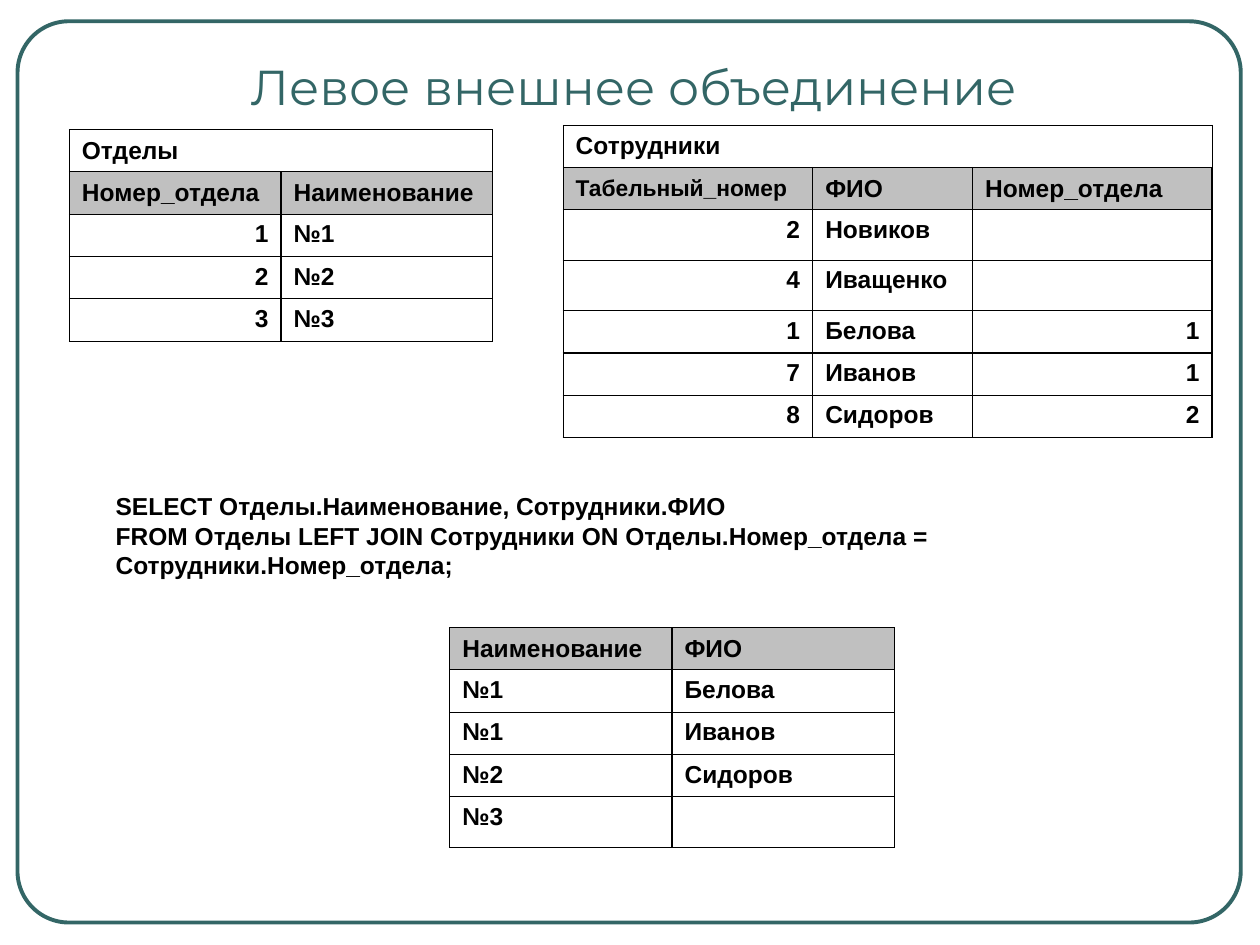
from lxml.etree import SubElement
from pptx import Presentation
from pptx.dml.color import RGBColor
from pptx.enum.shapes import MSO_SHAPE as Shape
from pptx.enum.text import MSO_ANCHOR as Anchor, PP_ALIGN as Align
from pptx.oxml.ns import qn
from pptx.util import Pt

TEAL, BLACK, GREY, WHITE = "336666", "000000", "C0C0C0", "FFFFFF"
ROW_HEIGHT, BLANK_ROW_HEIGHT = 24.2, 28.8

TITLE = "Левое внешнее объединение"
QUERY = [
    "SELECT Отделы.Наименование, Сотрудники.ФИО",
    "FROM Отделы LEFT JOIN Сотрудники ON Отделы.Номер_отдела = Сотрудники.Номер_отдела;",
]
TABLES = [
    {
        "caption": None,
        "position": (257, 358.6),
        "widths": [127, 127.4],
        "header": ["Наименование", "ФИО"],
        "rows": [["№1", "Белова"], ["№1", "Иванов"], ["№2", "Сидоров"], ["№3", ""]],
    },
    {
        "caption": "Отделы",
        "position": (39.6, 74),
        "widths": [121, 121],
        "header": ["Номер_отдела", "Наименование"],
        "rows": [["1", "№1"], ["2", "№2"], ["3", "№3"]],
    },
    {
        "caption": "Сотрудники",
        "position": (321.8, 71.5),
        "widths": [142.6, 91.4, 136.8],
        "header": ["Табельный_номер", "ФИО", "Номер_отдела"],
        "rows": [
            ["2", "Новиков", ""],
            ["4", "Иващенко", ""],
            ["1", "Белова", "1"],
            ["7", "Иванов", "1"],
            ["8", "Сидоров", "2"],
        ],
    },
]


def rgb(value):
    return RGBColor.from_string(value)


def set_font(paragraph, size, name="Arial", color=BLACK, bold=True):
    font = paragraph.font
    font.size, font.name, font.bold = Pt(size), name, bold
    font.color.rgb = rgb(color)


def add_text(slide, box, lines, align=Align.LEFT, **font):
    frame = slide.shapes.add_textbox(*map(Pt, box)).text_frame
    frame.word_wrap = True
    frame.text = "\n".join(lines)
    for paragraph in frame.paragraphs:
        paragraph.alignment = align
        set_font(paragraph, **font)


def set_borders(cell, outer, bottom):
    properties = cell._tc.get_or_add_tcPr()
    for side, width in (("L", outer), ("R", outer), ("T", outer), ("B", bottom)):
        line = SubElement(properties, qn(f"a:ln{side}"), w=str(Pt(width)))
        fill = SubElement(line, qn("a:solidFill"))
        SubElement(fill, qn("a:srgbClr"), val=BLACK)


def add_data_table(slide, caption, position, widths, header, rows):
    blanks = [""] * (len(widths) - 1)
    captions = [[caption] + blanks] if caption else []
    grid = captions + [header] + rows
    header_index = len(captions)
    heights = [BLANK_ROW_HEIGHT if row in rows and "" in row else ROW_HEIGHT for row in grid]

    size = (sum(widths), sum(heights))
    table = slide.shapes.add_table(len(grid), len(widths), *map(Pt, position + size)).table
    table.first_row = table.horz_banding = False
    for column, width in zip(table.columns, widths):
        column.width = Pt(width)

    for i, values in enumerate(grid):
        table.rows[i].height = Pt(heights[i])
        for j, value in enumerate(values):
            cell = table.cell(i, j)
            set_borders(cell, 0.45 if i < header_index else 0.75, 0.75)
            cell.fill.solid()
            cell.fill.fore_color.rgb = rgb(GREY if i == header_index else WHITE)
            cell.vertical_anchor = Anchor.MIDDLE if i <= header_index else Anchor.TOP
            if value:
                cell.text = value
                paragraph = cell.text_frame.paragraphs[0]
                paragraph.alignment = Align.RIGHT if value.isdigit() else Align.LEFT
                set_font(paragraph, 13 if value == "Табельный_номер" else 14)
    if caption:
        table.cell(0, 0).merge(table.cell(0, len(widths) - 1))


def main():
    presentation = Presentation()
    presentation.slide_width, presentation.slide_height = Pt(720), Pt(540)
    slide = presentation.slides.add_slide(presentation.slide_layouts[6])

    frame = slide.shapes.add_shape(Shape.ROUNDED_RECTANGLE, Pt(10), Pt(12.2), Pt(699), Pt(515))
    frame.adjustments[0] = 0.057
    frame.shadow.inherit = False
    frame.fill.background()
    frame.line.color.rgb = rgb(TEAL)
    frame.line.width = Pt(2.25)

    add_text(slide, (59, 28.8, 606, 52.6), [TITLE], Align.CENTER,
             size=28, name="Montserrat", color=TEAL, bold=False)
    for table in TABLES:
        add_data_table(slide, **table)
    add_text(slide, (59, 277.2, 625, 57.6), QUERY, size=14)

    presentation.save("out.pptx")


if __name__ == "__main__":
    main()
